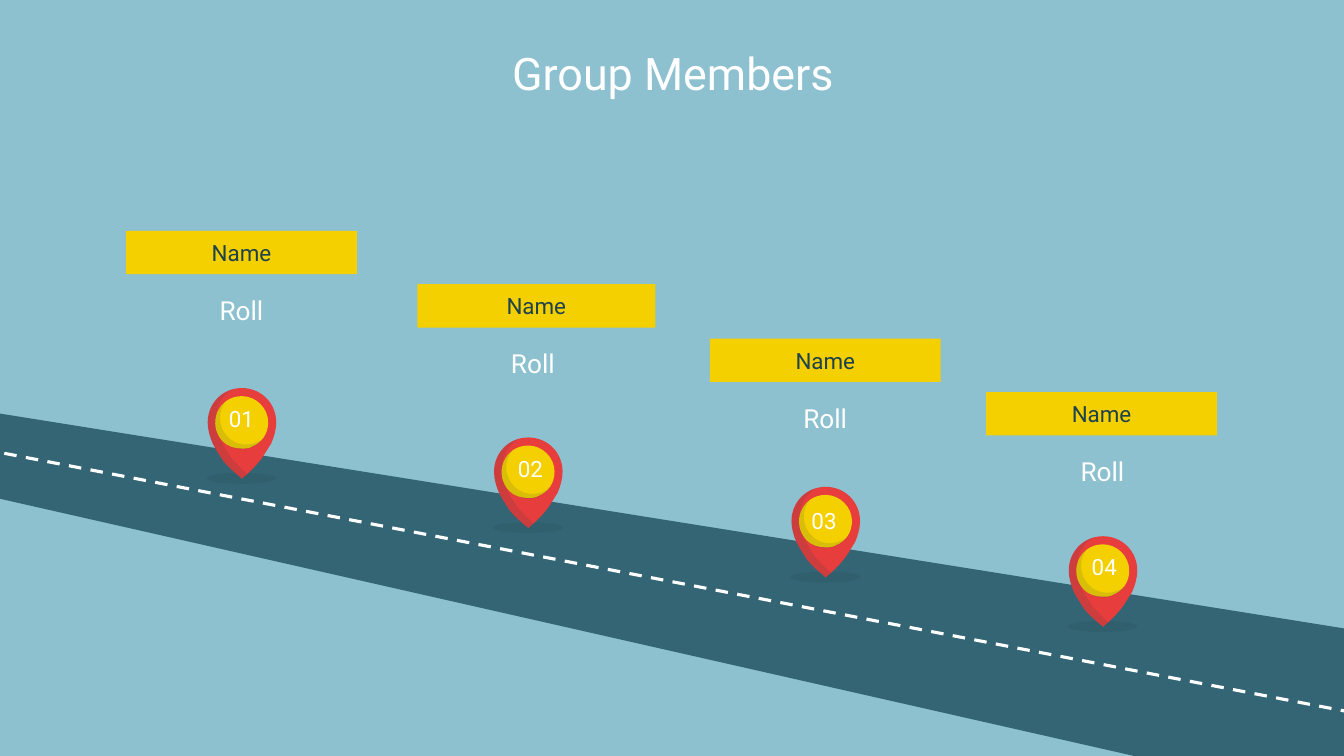
from lxml import etree
from pptx import Presentation
from pptx.dml.color import RGBColor
from pptx.enum.dml import MSO_LINE
from pptx.enum.shapes import MSO_CONNECTOR, MSO_SHAPE
from pptx.enum.text import MSO_ANCHOR, PP_ALIGN
from pptx.oxml.ns import qn
from pptx.util import Inches, Pt

SKY = RGBColor(0x8D, 0xC1, 0xD0)
ROAD = RGBColor(0x33, 0x65, 0x74)
DARK = RGBColor(0x1F, 0x42, 0x4C)
RED = RGBColor(0xE8, 0x3D, 0x3D)
YELLOW = RGBColor(0xF4, 0xD0, 0x00)
WHITE = RGBColor(0xFF, 0xFF, 0xFF)
FONT = "Roboto"
SHADE_OPACITY = 13
CENTER, LEFT = PP_ALIGN.CENTER, PP_ALIGN.LEFT

TITLE = "Group Members"
# Boxes are left, top, width, height; pin is the middle of its top edge.
MEMBERS = [
    dict(name="Name", name_box=(1.25, 2.29, 2.29, 0.43),
         roll="Roll", roll_box=(1.04, 2.84, 2.71, 0.47), pin=(2.4, 3.85),
         number="01", number_box=(1.9, 3.92, 0.99, 0.47), align=CENTER),
    dict(name="Name", name_box=(4.14, 2.82, 2.36, 0.43),
         roll="Roll", roll_box=(3.79, 3.37, 2.99, 0.47), pin=(5.24, 4.34),
         number="02", number_box=(4.97, 4.46, 0.58, 0.37), align=CENTER),
    dict(name="Name", name_box=(7.04, 3.36, 2.29, 0.43),
         roll="Roll", roll_box=(6.83, 3.91, 2.71, 0.47), pin=(8.19, 4.83),
         number="03", number_box=(7.95, 4.98, 0.52, 0.37), align=LEFT),
    dict(name="Name", name_box=(9.78, 3.89, 2.29, 0.43),
         roll="Roll", roll_box=(9.58, 4.44, 2.71, 0.47), pin=(10.94, 5.32),
         number="04", number_box=(10.73, 5.44, 0.47, 0.37), align=LEFT),
]

ROAD_OUTLINE = [(13.43, 6.25), (-0.08, 4.09), (-0.08, 4.93), (11.25, 7.5), (13.43, 7.5)]
ROAD_MARKING = (13.42, 7.07, -0.1, 4.47)

# Pin outlines in hundredths of an inch from the pin's top middle:
# a start point, then Bezier curves (two controls and an end).
LEFT_EDGE = [(-34, 41), (-32, 48), (-29, 55), (-26, 61), (-22, 67), (-18, 73),
             (-13, 79), (-7, 84), (-1, 89), (-1, 90), (-1, 90), (0, 90),
             (0, 90), (0, 90), (1, 89)]
PIN_PARTS = [
    (RED, None, [
        (0, 0), (-19, 0), (-34, 15), (-34, 34), *LEFT_EDGE,
        (7, 84), (12, 79), (17, 73), (22, 67), (25, 61), (29, 55),
        (32, 48), (34, 41), (34, 34), (34, 15), (19, 0), (0, 0)]),
    (DARK, SHADE_OPACITY, [
        (-9, 1), (-24, 5), (-34, 19), (-34, 34), *LEFT_EDGE,
        (1, 89), (3, 88), (5, 85), (0, 81), (-5, 75), (-10, 70),
        (-14, 64), (-18, 58), (-21, 52), (-25, 45), (-26, 38), (-26, 31),
        (-26, 19), (-20, 7), (-9, 1)]),
    (YELLOW, None, [
        (0, 8), (-24, 8), (-35, 36), (-19, 53), (-14, 58), (-7, 60), (0, 60),
        (3, 60), (7, 60), (10, 58), (20, 54), (26, 45), (26, 34),
        (26, 20), (14, 8), (0, 8)]),
    (DARK, SHADE_OPACITY, [
        (-16, 13), (-29, 23), (-30, 42), (-19, 53), (-14, 58), (-7, 61), (0, 61),
        (8, 61), (16, 57), (21, 50), (16, 54), (10, 56), (4, 56),
        (-17, 56), (-30, 31), (-16, 13)]),
]


def paint(shape, color, opacity=None):
    shape.shadow.inherit = False
    shape.line.fill.background()
    shape.fill.solid()
    shape.fill.fore_color.rgb = color
    if opacity is not None:
        color_element = shape._element.spPr.find(qn("a:solidFill"))[0]
        etree.SubElement(color_element, qn("a:alpha")).set("val", str(opacity * 1000))


def write(shape, text, size, color, align=CENTER, inset=0.13, anchor=MSO_ANCHOR.MIDDLE):
    frame = shape.text_frame
    settings = dict(word_wrap=True, vertical_anchor=anchor)
    for side in ("left", "top", "right", "bottom"):
        settings[f"margin_{side}"] = Inches(inset)
    for key, value in settings.items():
        setattr(frame, key, value)
    frame.text = text
    paragraph = frame.paragraphs[0]
    paragraph.alignment = align
    font = paragraph.runs[0].font
    font.name, font.size = FONT, Pt(size)
    font.color.rgb = color


def add_text(slide, box, *args, **options):
    write(slide.shapes.add_textbox(*map(Inches, box)), *args, **options)


def add_outline(shapes, points):
    (start_x, start_y), *rest = [(Inches(x), Inches(y)) for x, y in points]
    builder = shapes.build_freeform(start_x, start_y)
    builder.add_line_segments(rest, close=True)
    return builder.convert_to_shape()


def bend(shape):
    """Turn every three line segments of a freeform into one Bezier curve."""
    segments = list(shape._element.iter(qn("a:lnTo")))
    for first in range(0, len(segments) - 2, 3):
        curve = etree.Element(qn("a:cubicBezTo"))
        segments[first].addprevious(curve)
        for segment in segments[first:first + 3]:
            curve.append(segment[0])
            segment.getparent().remove(segment)


def add_pin(slide, pin_x, pin_y):
    shapes = slide.shapes.add_group_shape().shapes
    ground_shadow = shapes.add_shape(
        MSO_SHAPE.OVAL, Inches(pin_x - 0.35), Inches(pin_y + 0.84), Inches(0.69), Inches(0.11))
    paint(ground_shadow, DARK, SHADE_OPACITY)
    for color, opacity, points in PIN_PARTS:
        part = add_outline(shapes, [(pin_x + x / 100, pin_y + y / 100) for x, y in points])
        bend(part)
        paint(part, color, opacity)


def add_road(slide):
    paint(add_outline(slide.shapes, ROAD_OUTLINE), ROAD)
    marking = slide.shapes.add_connector(MSO_CONNECTOR.STRAIGHT, *map(Inches, ROAD_MARKING))
    marking.line.color.rgb = WHITE
    marking.line.width = Pt(2.25)
    marking.line.dash_style = MSO_LINE.DASH
    etree.SubElement(marking._element.spPr, qn("a:effectLst"))


def main():
    presentation = Presentation()
    presentation.slide_width, presentation.slide_height = Inches(13.33), Inches(7.5)
    slide = presentation.slides.add_slide(presentation.slide_layouts[5])
    slide.background.fill.solid()
    slide.background.fill.fore_color.rgb = SKY

    title = slide.shapes.title
    title.left, title.top, title.width, title.height = map(Inches, (1.05, 0.32, 11.25, 0.84))
    write(title, TITLE, 32, WHITE, anchor=MSO_ANCHOR.TOP)

    add_road(slide)
    for member in MEMBERS:
        add_pin(slide, *member["pin"])
        name_bar = slide.shapes.add_shape(MSO_SHAPE.RECTANGLE, *map(Inches, member["name_box"]))
        paint(name_bar, YELLOW)
        write(name_bar, member["name"], 16, DARK)
        add_text(slide, member["roll_box"], member["roll"], 18.7, WHITE)
        add_text(slide, member["number_box"], member["number"], 16, WHITE,
                 align=member["align"], inset=0.1)
    presentation.save("out.pptx")


if __name__ == "__main__":
    main()
